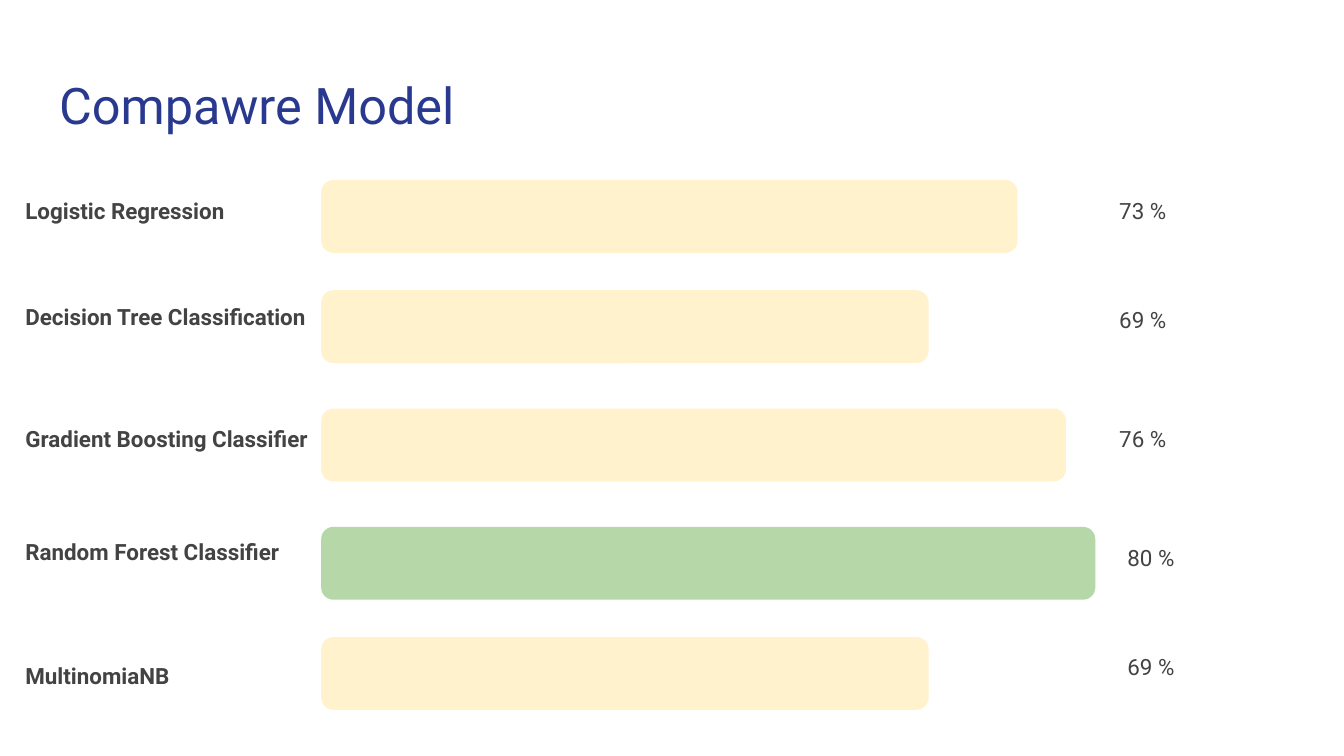
import pptx
import pptx.dml.color
import pptx.enum.shapes
import pptx.enum.text
import pptx.util

Pt = pptx.util.Pt
RGBColor = pptx.dml.color.RGBColor
ANCHOR = pptx.enum.text.MSO_ANCHOR

NAVY = RGBColor(0x2A, 0x39, 0x90)
GREY = RGBColor(0x43, 0x43, 0x43)
CREAM = RGBColor(0xFF, 0xF2, 0xCC)
GREEN = RGBColor(0xB6, 0xD7, 0xA8)

FONT = "Roboto"
INSET = 7.2
BAR_LEFT, BAR_HEIGHT = 165.6, 39
TEXT_WIDTH, TEXT_HEIGHT = 183.6, 39.6

# model, score, bar top, bar length, label shift, score left, score shift
MODELS = [
    ("Logistic Regression", "73 %", 0, 373, 0, 586, 0),
    ("Decision Tree Classification", "69 %", 59, 325.4, -2.2, 586, -0.7),
    ("Gradient Boosting Classifier", "76 %", 122.4, 399, -0.7, 586, -0.7),
    ("Random Forest Classifier", "80 %", 185.8, 414.7, -3.6, 590.4, 0),
    ("MultinomiaNB", "69 %", 244.8, 325.4, 4.3, 590.4, -0.7),
]
BEST_MODEL = "Random Forest Classifier"


def write(frame, text, size, color, bold=False, anchor=ANCHOR.TOP):
    """Fill a text frame with one left-aligned paragraph and return it."""
    frame.word_wrap = True
    frame.auto_size = pptx.enum.text.MSO_AUTO_SIZE.NONE
    frame.vertical_anchor = anchor
    frame.margin_left = frame.margin_right = Pt(INSET)
    frame.margin_top = frame.margin_bottom = Pt(INSET)
    frame.text = text
    paragraph = frame.paragraphs[0]
    paragraph.alignment = pptx.enum.text.PP_ALIGN.LEFT
    font = paragraph.runs[0].font
    font.name, font.size, font.bold = FONT, Pt(size), bold
    font.color.rgb = color
    return paragraph


def place_title(slide, left, top, width, height):
    title = slide.shapes.title
    title.left, title.top = Pt(left), Pt(top)
    title.width, title.height = Pt(width), Pt(height)
    write(title.text_frame, "Compawre Model", 27, NAVY, anchor=ANCHOR.MIDDLE)


def add_caption(slide, left, top, text, bold=False):
    caption = slide.shapes.add_textbox(
        Pt(left), Pt(top), Pt(TEXT_WIDTH), Pt(TEXT_HEIGHT))
    write(caption.text_frame, text, 12, GREY, bold).line_spacing = 1.15


def add_bar(slide, left, top, length, color):
    bar = slide.shapes.add_shape(
        pptx.enum.shapes.MSO_SHAPE.ROUNDED_RECTANGLE,
        Pt(left), Pt(top), Pt(length), Pt(BAR_HEIGHT))
    bar.shadow.inherit = False
    bar.fill.solid()
    bar.fill.fore_color.rgb = color
    bar.line.fill.background()


def add_comparison(slide, left, top):
    """Draw one row per model: name, bar and score."""
    for model, score, row, length, name_shift, score_left, score_shift in MODELS:
        row_top = top + row
        color = GREEN if model == BEST_MODEL else CREAM
        add_bar(slide, left + BAR_LEFT, row_top, length, color)
        add_caption(slide, left, row_top + name_shift, model, bold=True)
        add_caption(slide, left + score_left, row_top + score_shift, score)


def main():
    deck = pptx.Presentation()
    deck.slide_width, deck.slide_height = Pt(720), Pt(405)
    slide = deck.slides.add_slide(deck.slide_layouts[5])
    place_title(slide, 24.5, 32.4, 671, 47.5)
    add_comparison(slide, 6.5, 96.5)
    deck.save("out.pptx")


if __name__ == "__main__":
    main()
